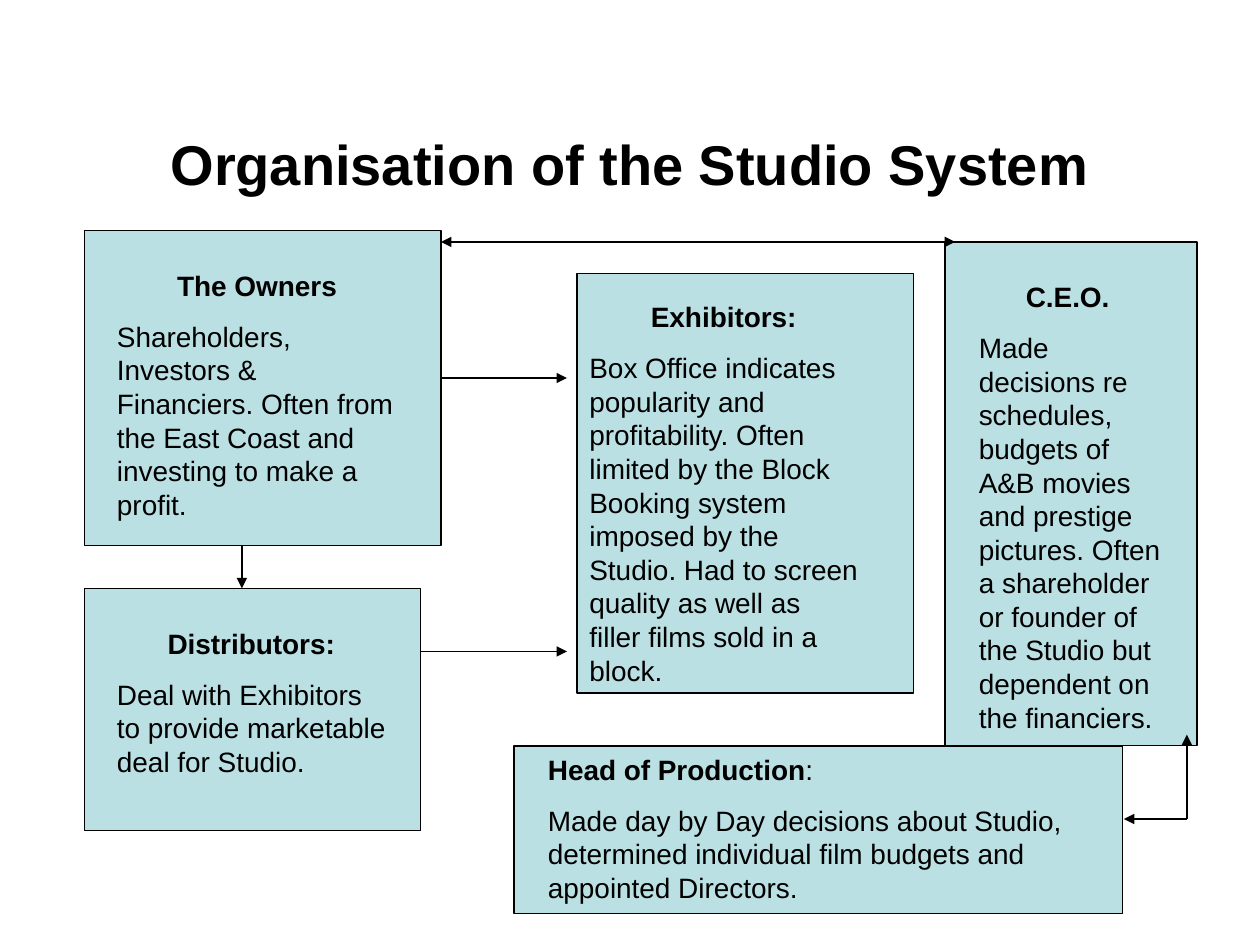
import pptx
import pptx.dml.color
import pptx.enum.shapes
import pptx.enum.text
import pptx.oxml
import pptx.oxml.ns
import pptx.util
from pptx.util import Inches

BLACK = pptx.dml.color.RGBColor(0x00, 0x00, 0x00)
PALE_TEAL = pptx.dml.color.RGBColor(0xBB, 0xE0, 0xE3)
LEFT = pptx.enum.text.PP_ALIGN.LEFT
CENTER = pptx.enum.text.PP_ALIGN.CENTER
TOP = pptx.enum.text.MSO_ANCHOR.TOP
MIDDLE = pptx.enum.text.MSO_ANCHOR.MIDDLE


class StudioChart:
    font_format = {"name": "Arial", "size": pptx.util.Pt(16)}
    line_width = pptx.util.Pt(0.75)

    def __init__(self, slide):
        self.slide = slide

    def box(self, left, top, width, height):
        role = self.slide.shapes.add_shape(
            pptx.enum.shapes.MSO_SHAPE.RECTANGLE,
            Inches(left), Inches(top), Inches(width), Inches(height))
        role.shadow.inherit = False
        role.fill.solid()
        role.fill.fore_color.rgb = PALE_TEAL
        role.line.color.rgb = BLACK
        role.line.width = self.line_width

    def text(self, place, paragraphs, anchor=TOP, space_before=10, **font_format):
        """Each paragraph is (alignment, [(words, bold), ...])."""
        frame = self.slide.shapes.add_textbox(*map(Inches, place)).text_frame
        frame.word_wrap = True
        frame.vertical_anchor = anchor
        for index, (alignment, runs) in enumerate(paragraphs):
            paragraph = frame.add_paragraph() if index else frame.paragraphs[0]
            paragraph.alignment = alignment
            paragraph.space_before = pptx.util.Pt(space_before)
            for words, bold in runs:
                run = paragraph.add_run()
                run.text = words
                run.font.color.rgb = BLACK
                style = {**self.font_format, "bold": bold, **font_format}
                for name, value in style.items():
                    setattr(run.font, name, value)

    def arrow(self, start, end, both_ends=False):
        link = self.slide.shapes.add_connector(
            pptx.enum.shapes.MSO_CONNECTOR.STRAIGHT,
            *map(Inches, start + end))
        link.line.color.rgb = BLACK
        link.line.width = self.line_width
        line_xml = link.line._get_or_add_ln()
        for tip in ["headEnd", "tailEnd"] if both_ends else ["tailEnd"]:
            pptx.oxml.ns.qn("a:" + tip)
            line_xml.append(pptx.oxml.parse_xml(
                f'<a:{tip} {pptx.oxml.ns.nsdecls("a")} type="triangle"/>'))
        link._element.spPr.append(pptx.oxml.parse_xml(
            f'<a:effectLst {pptx.oxml.ns.nsdecls("a")}/>'))


# Box, text area, heading alignment, heading runs, description
ROLES = [
    ((0.67, 1.83, 2.83, 2.5), (0.83, 2.08, 2.42, 2.11), CENTER,
     [("The Owners", True)],
     "Shareholders, Investors & Financiers. Often from the East Coast and "
     "investing to make a profit."),
    ((4.58, 2.17, 2.67, 3.33), (4.58, 2.33, 2.33, 3.17), CENTER,
     [("Exhibitors:", True)],
     "Box Office indicates popularity and profitability. Often limited by the "
     "Block Booking system imposed by the Studio. Had to screen quality as "
     "well as filler films sold in a block."),
    ((0.67, 4.67, 2.67, 1.92), (0.83, 4.92, 2.33, 1.31), CENTER,
     [("Distributors:", True)],
     "Deal with Exhibitors to provide marketable deal for Studio."),
    ((7.5, 1.92, 2, 4), (7.67, 2.17, 1.67, 3.71), CENTER,
     [("C.E.O. ", True)],
     "Made decisions re schedules, budgets of A&B movies and prestige "
     "pictures. Often a shareholder or founder of the Studio but dependent on "
     "the financiers."),
    ((4.08, 5.92, 4.83, 1.33), (4.25, 5.92, 4.42, 1.31), LEFT,
     [("Head of Production", True), (":", False)],
     "Made day by Day decisions about Studio, determined individual film "
     "budgets and appointed Directors."),
]

ARROWS = [
    ((3.33, 5.17), (4.5, 5.17)),
    ((1.92, 4.33), (1.92, 4.67)),
    ((3.5, 1.92), (7.58, 1.92), True),
    ((9.42, 6.5), (8.92, 6.5)),
    ((9.42, 6.5), (9.42, 5.83)),
    ((3.5, 3), (4.5, 3)),
]


def main():
    deck = pptx.Presentation()
    deck.slide_width, deck.slide_height = Inches(10), Inches(7.5)
    chart = StudioChart(deck.slides.add_slide(deck.slide_layouts[6]))
    chart.text((0.75, 0.67, 8.5, 1.25),
               [(CENTER, [("Organisation of the Studio System", True)])],
               anchor=MIDDLE, space_before=0, size=pptx.util.Pt(32))
    for box, text_area, alignment, heading, description in ROLES:
        chart.box(*box)
        chart.text(text_area,
                   [(alignment, heading), (LEFT, [(description, False)])])
    for arrow in ARROWS:
        chart.arrow(*arrow)
    deck.save("out.pptx")


if __name__ == "__main__":
    main()
